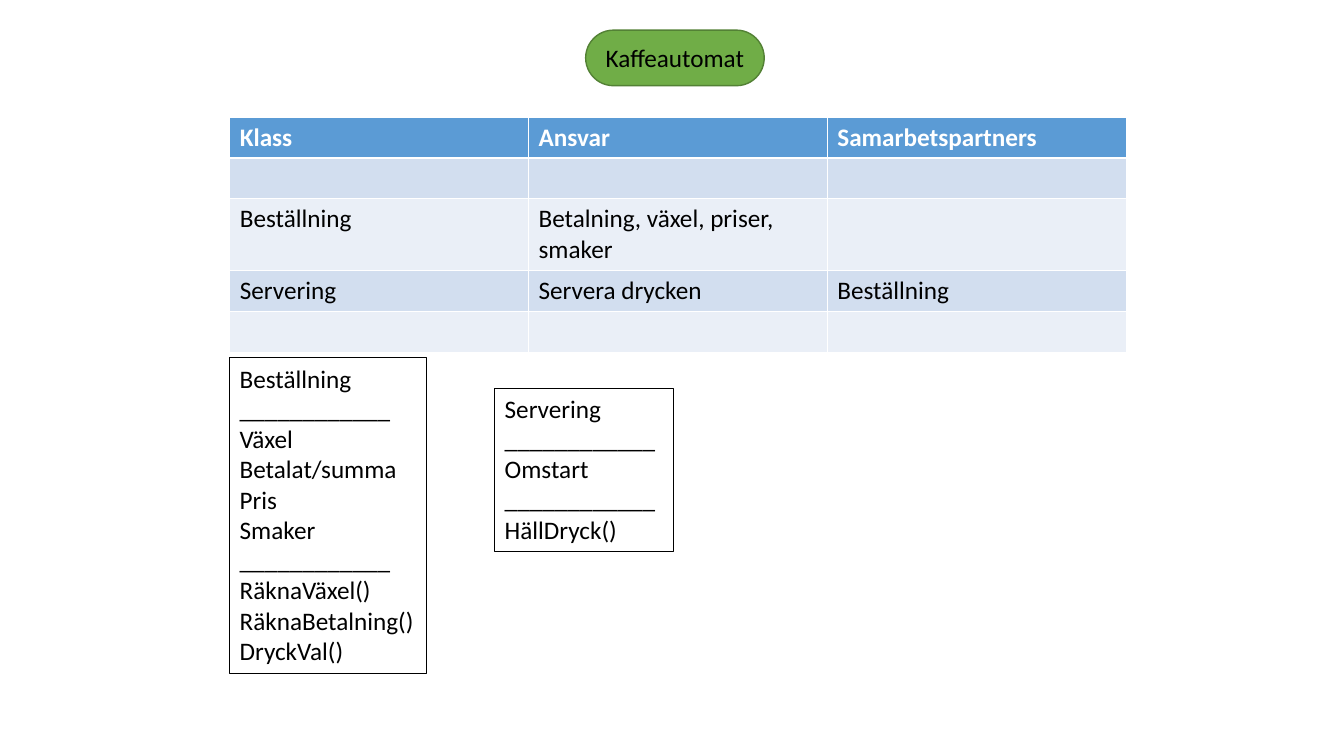
"""Build a slide with the class table and class cards of a coffee machine."""
import pptx
import pptx.dml.color
import pptx.enum.shapes
import pptx.enum.text
import pptx.util

Cm = pptx.util.Cm
Pt = pptx.util.Pt
RGBColor = pptx.dml.color.RGBColor

BLACK = RGBColor(0x00, 0x00, 0x00)
WHITE = RGBColor(0xFF, 0xFF, 0xFF)
GREEN = RGBColor(0x70, 0xAD, 0x47)
DARK_GREEN = RGBColor(0x53, 0x81, 0x35)
HEADER_BLUE = RGBColor(0x5B, 0x9B, 0xD5)
BAND_BLUES = (RGBColor(0xEA, 0xEF, 0xF7), RGBColor(0xD2, 0xDE, 0xEF))

RULE = "____________"
TABLE_LEFT = 5.79
COLUMN_WIDTH = 7.53
ROW_HEIGHTS = (1.03, 1.03, 1.8, 1.03, 1.03)
ROWS = (
    ("Klass", "Ansvar", "Samarbetspartners"),
    ("", "", ""),
    ("Beställning", "Betalning, växel, priser, smaker", ""),
    ("Servering", "Servera drycken", "Beställning"),
    ("", "", ""),
)
ORDER_LINES = (
    "Beställning", RULE + " ", "Växel", "Betalat/summa", "Pris", "Smaker",
    RULE, "RäknaVäxel()", "RäknaBetalning()", "DryckVal()",
)
SERVING_LINES = ("Servering", RULE + " ", "Omstart", RULE, "HällDryck()")


def format_text(text_frame, color=BLACK, bold=False):
    for para in text_frame.paragraphs:
        for span in para.runs:
            span.font.name = "Calibri"
            span.font.size = Pt(18)
            span.font.bold = bold
            span.font.color.rgb = color


def add_heading(page, text, left, top, width, height):
    kind = pptx.enum.shapes.MSO_SHAPE.ROUNDED_RECTANGLE
    pill = page.shapes.add_shape(kind, Cm(left), Cm(top), Cm(width), Cm(height))
    pill.adjustments[0] = 0.5
    pill.shadow.inherit = False
    pill.fill.solid()
    pill.fill.fore_color.rgb = GREEN
    pill.line.color.rgb = DARK_GREEN
    pill.line.width = Pt(1)
    pill.text_frame.text = text
    pill.text_frame.vertical_anchor = pptx.enum.text.MSO_ANCHOR.MIDDLE
    pill.text_frame.paragraphs[0].alignment = pptx.enum.text.PP_ALIGN.CENTER
    format_text(pill.text_frame)


def add_class_table(page, left, top):
    columns = len(ROWS[0])
    frame = page.shapes.add_table(
        len(ROWS), columns, Cm(left), Cm(top),
        Cm(columns * COLUMN_WIDTH), Cm(sum(ROW_HEIGHTS)))
    table = frame.table
    for column in table.columns:
        column.width = Cm(COLUMN_WIDTH)
    for row_index, texts in enumerate(ROWS):
        table.rows[row_index].height = Cm(ROW_HEIGHTS[row_index])
        is_header = row_index == 0
        for column_index, text in enumerate(texts):
            cell = table.cell(row_index, column_index)
            cell.fill.solid()
            cell.fill.fore_color.rgb = HEADER_BLUE if is_header else BAND_BLUES[row_index % 2]
            if text:
                cell.text_frame.text = text
                format_text(cell.text_frame, WHITE if is_header else BLACK, is_header)


def add_class_card(page, lines, left, top, width, height):
    box = page.shapes.add_textbox(Cm(left), Cm(top), Cm(width), Cm(height))
    box.line.color.rgb = BLACK
    box.line.width = Pt(0.75)
    box.text_frame.text = "\n".join(lines)
    box.text_frame.word_wrap = False
    box.text_frame.auto_size = pptx.enum.text.MSO_AUTO_SIZE.SHAPE_TO_FIT_TEXT
    format_text(box.text_frame)


def main():
    deck = pptx.Presentation()
    deck.slide_width = Cm(33.87)
    deck.slide_height = Cm(19.05)
    page = deck.slides.add_slide(deck.slide_layouts.get_by_name("Blank"))
    add_heading(page, "Kaffeautomat", 14.76, 0.76, 4.5, 1.4)
    add_class_table(page, TABLE_LEFT, 2.95)
    add_class_card(page, ORDER_LINES, TABLE_LEFT, 9.02, 4.95, 7.95)
    add_class_card(page, SERVING_LINES, 12.47, 9.78, 4.5, 4.11)
    deck.save("out.pptx")


main()
